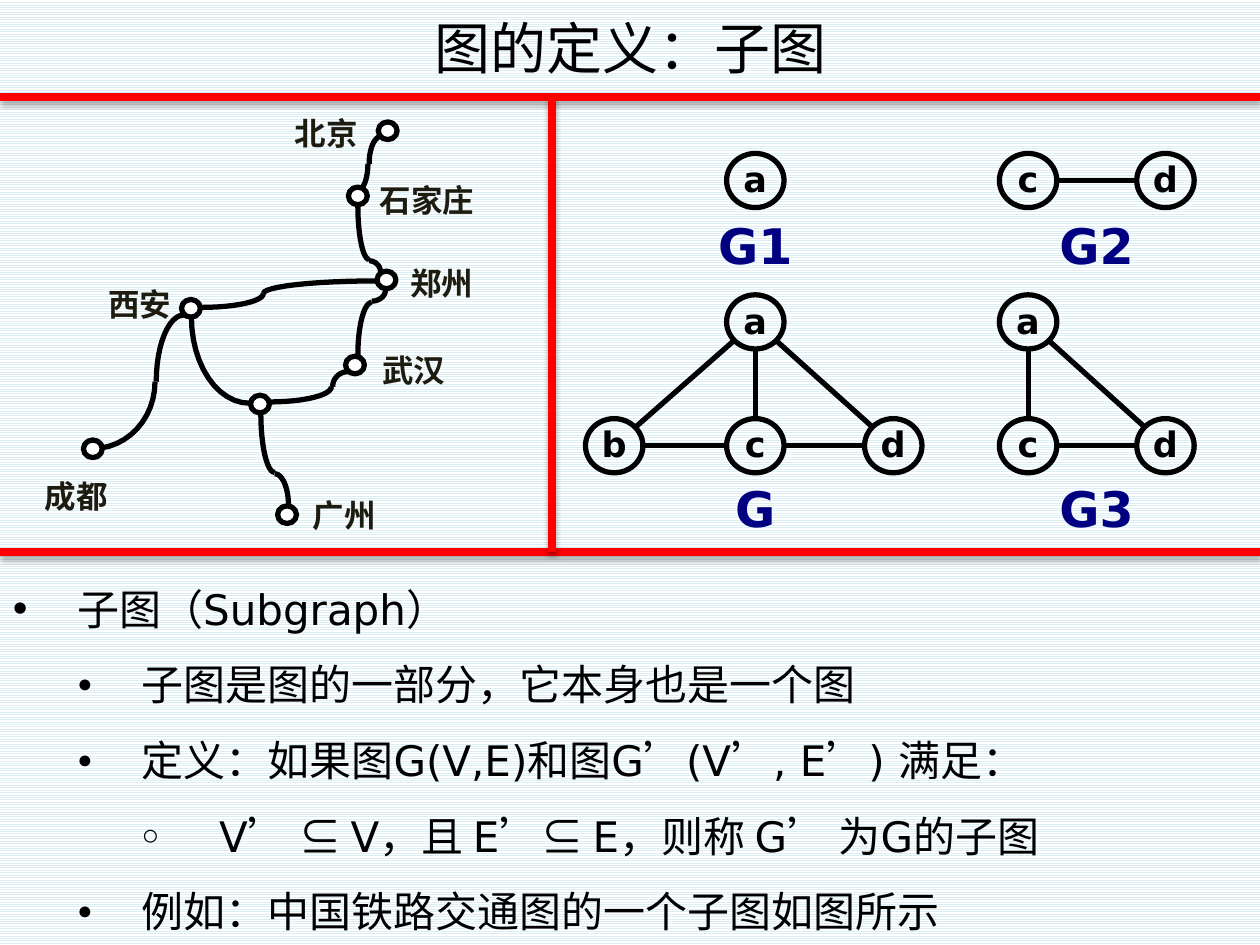
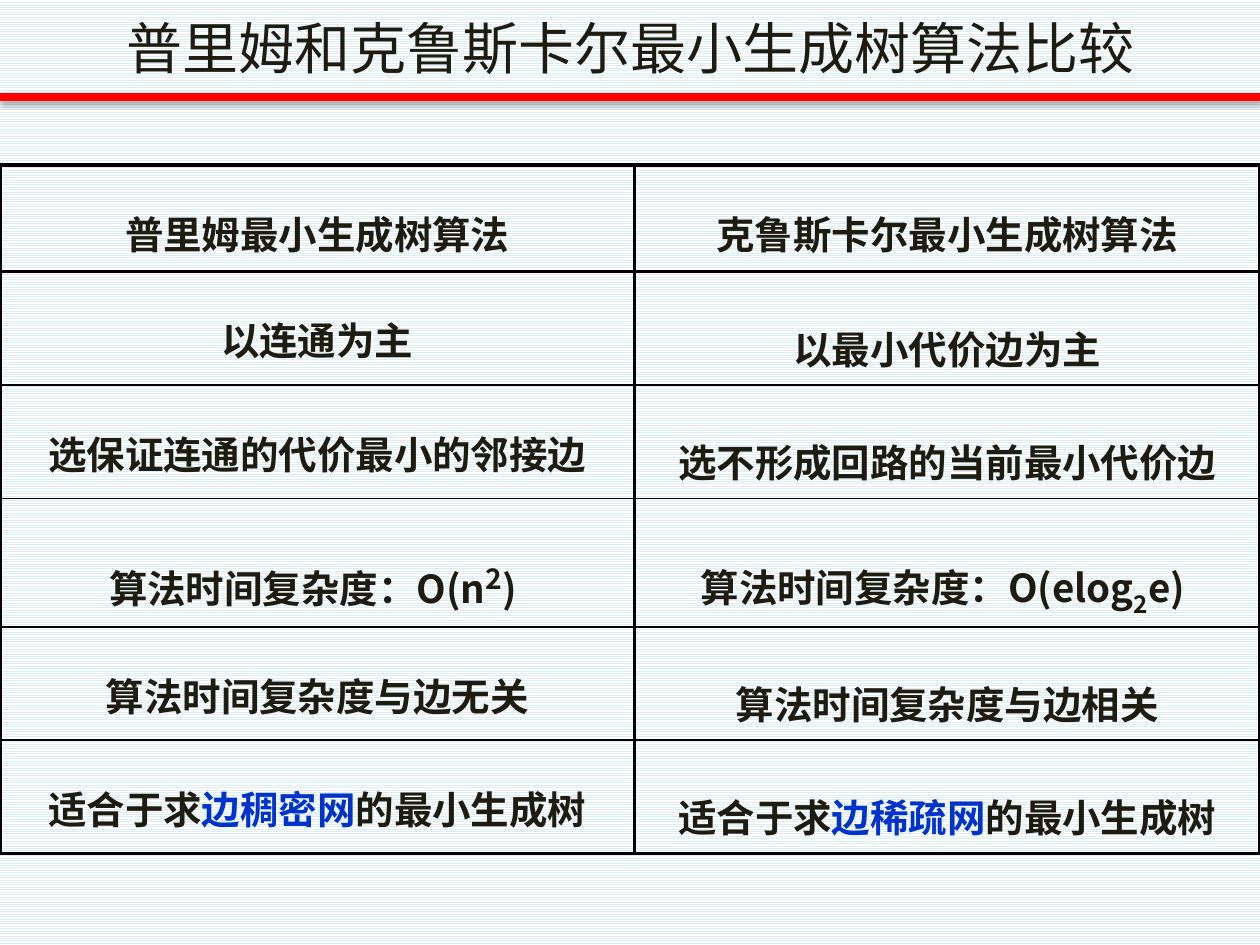
import math

from lxml import etree
from pptx import Presentation
from pptx import util as u
from pptx.dml.color import RGBColor
from pptx.enum import dml, shapes, text
from pptx.oxml.ns import qn

BLACK = RGBColor(0x00, 0x00, 0x00)
WHITE = RGBColor(0xFF, 0xFF, 0xFF)
PALE_BLUE = RGBColor(0xDB, 0xEE, 0xF4)
RED = RGBColor(0xFF, 0x00, 0x00)
INK = RGBColor(0x1E, 0x1C, 0x11)
NAVY = RGBColor(0x00, 0x00, 0x80)
BLUE = RGBColor(0x00, 0x33, 0xCC)

LATIN, CHINESE, BULLET_FONT = "DejaVu Sans", "Noto Sans CJK SC", "Arial"

# The slide is a grid of square cells, 100 columns by 75 rows.
COLUMNS, ROWS = 100, 75
TITLE_RULE, DIAGRAM_END, DIVIDER = 7.7, 43.8, 43.8

# Railway map: station centre, then the left, top and width of its label.
STATIONS = [
    ((30.77, 10.38), "北京", (21.55, 8.6, 8.7)),
    ((28.4, 15.55), "石家庄", (29.0, 13.9, 9.8)),
    ((30.67, 22.22), "郑州", (29.7, 20.5, 10.7)),
    ((28.17, 28.97), "武汉", (27.95, 27.4, 9.8)),
    ((15.15, 24.47), "西安", (6.2, 22.1, 9.8)),
    ((7.37, 35.62), "成都", (1.15, 37.4, 9.8)),
    ((22.78, 40.85), "广州", (22.4, 38.9, 9.8)),
    ((20.63, 32.07), None, None),
]
# Each bend leaves its first point vertically and meets its second horizontally.
RAIL_BENDS = [
    ((29.2, 13.0), (28.4, 15.1)), ((29.3, 13.0), (30.3, 10.8)),
    ((28.4, 16.3), (29.3, 20.6)), ((30.2, 21.6), (29.3, 20.7)),
    ((28.4, 28.2), (29.5, 24.0)), ((30.6, 23.0), (29.5, 23.9)),
    ((20.9, 23.3), (16.0, 24.4)), ((20.9, 23.3), (29.9, 22.3)),
    ((26.3, 30.7), (21.4, 31.9)), ((26.4, 30.7), (27.6, 29.5)),
    ((15.2, 25.2), (19.8, 32.0)), ((12.3, 30.3), (7.4, 35.6)),
    ((12.4, 30.3), (14.6, 25.0)), ((20.7, 32.8), (21.8, 37.5)),
    ((22.9, 40.1), (21.8, 37.6)),
]

# Graphs: name, centre and top of the name, vertices, edges.
UPPER, APEX, BASE = 14.33, 25.55, 35.38
UPPER_NAME, LOWER_NAME = 17.1, 38.0
LEFT, MIDDLE, RIGHT = 48.75, 59.95, 70.9
PAIR_LEFT, PAIR_NAME, PAIR_RIGHT = 81.6, 87.03, 92.5
GRAPHS = [
    ("G1", MIDDLE, UPPER_NAME, {"a": (MIDDLE, UPPER)}, []),
    ("G2", PAIR_NAME, UPPER_NAME,
     {"c": (PAIR_LEFT, UPPER), "d": (PAIR_RIGHT, UPPER)}, ["cd"]),
    ("G", MIDDLE, LOWER_NAME,
     {"a": (MIDDLE, APEX), "b": (LEFT, BASE), "c": (MIDDLE, BASE), "d": (RIGHT, BASE)},
     ["ab", "ac", "ad", "bc", "cd"]),
    ("G3", PAIR_NAME, LOWER_NAME,
     {"a": (PAIR_LEFT, APEX), "c": (PAIR_LEFT, BASE), "d": (PAIR_RIGHT, BASE)},
     ["ac", "ad", "cd"]),
]
NODE_RX, NODE_RY = 2.28, 2.15

# Outline: indent step, bullet, bullet size in percent, wording.
OUTLINE = [
    (1, "•", 100, "子图（Subgraph）"),
    (2, "●", 60, "子图是图的一部分，它本身也是一个图"),
    (2, "●", 60, "定义：如果图G(V,E)和图G’(V’, E’) 满足："),
    (3, "○", 70, " V’ ⊆ V，且 E’⊆ E，则称 G’ 为G的子图"),
    (2, "●", 60, "例如：中国铁路交通图的一个子图如图所示"),
]

# Comparison: each cell is a list of (wording, format) pieces.
COMPARISON = [
    ([("普里姆最小生成树算法", {})], [("克鲁斯卡尔最小生成树算法", {})]),
    ([("以连通为主", {})], [("以最小代价边为主", {})]),
    ([("选保证连通的代价最小的邻接边", {})], [("选不形成回路的当前最小代价边", {})]),
    ([("算法时间复杂度：O(n", {}), ("2", {"size": 28, "baseline": 30}), (") ", {})],
     [("算法时间复杂度：Ο(elog", {}), ("2", {"size": 24, "baseline": -25}), ("e) ", {})]),
    ([("算法时间复杂度与边无关", {})], [("算法时间复杂度与边相关", {})]),
    ([("适合于求", {}), ("边稠密网", {"color": BLUE}), ("的最小生成树", {})],
     [("适合于求", {}), ("边稀疏网", {"color": BLUE}), ("的最小生成树", {})]),
]
TABLE_COLUMNS = (50.35, 49.65)
TABLE_ROWS = (8.45, 9, 9, 9, 9, 9)


def grid(*cells):
    """Turn numbers of grid cells into lengths."""
    return [u.Inches(cell / 10) for cell in cells]


def add_element(parent, tag, **attributes):
    return etree.SubElement(parent, qn(tag), {k: str(v) for k, v in attributes.items()})


def add_span(para, content, size=18, color=BLACK, bold=False, font=CHINESE, baseline=0):
    span = para.add_run()
    span.text = content
    span.font.size = u.Pt(size)
    span.font.bold = bold
    span.font.color.rgb = color
    span.font.name = font
    properties = span._r.get_or_add_rPr()
    add_element(properties, "a:ea", typeface=CHINESE)
    if baseline:
        properties.set("baseline", str(baseline * 1000))


def centre_text(frame, content, **style):
    para = frame.paragraphs[0]
    para.alignment = text.PP_ALIGN.CENTER
    add_span(para, content, **style)


def clear_margins(frame):
    frame.margin_left = frame.margin_right = frame.margin_top = frame.margin_bottom = 0
    frame.word_wrap = False


def add_label(page, content, left, top, width, height, tight=False, **style):
    box = page.shapes.add_textbox(*grid(left, top, width, height))
    box.text_frame.word_wrap = True
    if tight:
        clear_margins(box.text_frame)
    centre_text(box.text_frame, content, **style)


def add_line(page, start, end, color=BLACK, width=3.0):
    line = page.shapes.add_connector(shapes.MSO_CONNECTOR.STRAIGHT, *grid(*start, *end))
    line.line.color.rgb = color
    line.line.width = u.Pt(width)
    return add_element(line._element.spPr, "a:effectLst")


def add_red_rule(page, start, end):
    effects = add_line(page, start, end, RED, 4.5)
    shadow = add_element(effects, "a:outerShdw", blurRad=40000, dist=23000,
                         dir=5400000, rotWithShape=0)
    shade = add_element(shadow, "a:srgbClr", val=BLACK)
    add_element(shade, "a:alpha", val=35000)


def add_circle(page, centre, rx, ry, fill=None):
    x, y = centre
    circle = page.shapes.add_shape(shapes.MSO_SHAPE.OVAL,
                                   *grid(x - rx, y - ry, 2 * rx, 2 * ry))
    circle.shadow.inherit = False
    if fill is None:
        circle.fill.background()
    else:
        circle.fill.solid()
        circle.fill.fore_color.rgb = fill
    circle.line.color.rgb = BLACK
    circle.line.width = u.Pt(3)
    return circle


def add_bend(page, upright, level, steps=12):
    """Draw a quarter ellipse, vertical at one end and horizontal at the other."""
    (x0, y0), (x1, y1) = upright, level
    angles = [math.pi / 2 * step / steps for step in range(steps + 1)]
    points = [grid(x1 + (x0 - x1) * math.cos(a), y0 + (y1 - y0) * math.sin(a))
              for a in angles]
    builder = page.shapes.build_freeform(*points[0])
    builder.add_line_segments(points[1:], close=False)
    bend = builder.convert_to_shape()
    bend.shadow.inherit = False
    bend.fill.background()
    bend.line.color.rgb = BLACK
    bend.line.width = u.Pt(3)


def add_edge(page, start, end):
    """Join two vertices from rim to rim."""
    dx, dy = end[0] - start[0], end[1] - start[1]
    share = 1 / math.hypot(dx / NODE_RX, dy / NODE_RY)
    add_line(page, (start[0] + dx * share, start[1] + dy * share),
             (end[0] - dx * share, end[1] - dy * share))


def add_graph(page, name, middle, name_top, vertices, edges):
    for start, end in edges:
        add_edge(page, vertices[start], vertices[end])
    for letter, centre in vertices.items():
        frame = add_circle(page, centre, NODE_RX, NODE_RY).text_frame
        clear_margins(frame)
        frame.vertical_anchor = text.MSO_ANCHOR.BOTTOM
        centre_text(frame, letter, size=20, bold=True, font=LATIN)
    add_label(page, name, middle - 5, name_top, 10, 4.4, tight=True,
              size=28, color=NAVY, bold=True, font=LATIN)


def add_railway_map(page):
    for upright, level in RAIL_BENDS:
        add_bend(page, upright, level)
    for centre, city, label in STATIONS:
        add_circle(page, centre, 0.75, 0.7, WHITE)
        if city:
            add_label(page, city, *label, 4, size=18, color=INK, bold=True)


def add_outline(page):
    box = page.shapes.add_textbox(*grid(0.05, DIAGRAM_END, COLUMNS, ROWS - DIAGRAM_END))
    frame = box.text_frame
    frame.word_wrap = True
    step = u.Inches(0.51)
    for number, (level, bullet, percent, content) in enumerate(OUTLINE):
        para = frame.add_paragraph() if number else frame.paragraphs[0]
        properties = para._p.get_or_add_pPr()
        properties.set("marL", str(step * level))
        properties.set("indent", str(-step))
        para.line_spacing = 1.5
        color = add_element(properties, "a:buClr")
        add_element(color, "a:srgbClr", val=BLACK)
        add_element(properties, "a:buSzPct", val=percent * 1000)
        add_element(properties, "a:buFont", typeface=BULLET_FONT)
        add_element(properties, "a:buChar", char=bullet)
        add_span(para, content, size=24, font=LATIN)


def set_borders(cell, **widths):
    properties = cell._tc.get_or_add_tcPr()
    for position, (side, width) in enumerate(widths.items()):
        border = etree.Element(qn("a:ln" + side), w=str(u.Pt(width)))
        fill = add_element(border, "a:solidFill")
        add_element(fill, "a:srgbClr", val=BLACK)
        properties.insert(position, border)


def add_comparison(page):
    frame = page.shapes.add_table(len(TABLE_ROWS), len(TABLE_COLUMNS),
                                  *grid(0, 13.1, COLUMNS, sum(TABLE_ROWS)))
    table = frame.table
    table.first_row = table.horz_banding = False
    for column, width in zip(table.columns, grid(*TABLE_COLUMNS)):
        column.width = width
    for row, height in zip(table.rows, grid(*TABLE_ROWS)):
        row.height = height
    last = len(COMPARISON) - 1
    for r, pair in enumerate(COMPARISON):
        for c, pieces in enumerate(pair):
            cell = table.cell(r, c)
            cell.fill.background()
            set_borders(cell, L=2.25, R=2.25, T=2.25 if r < 2 else 1,
                        B=2.25 if r in (0, last) else 1)
            para = cell.text_frame.paragraphs[0]
            para.alignment = text.PP_ALIGN.CENTER
            para.line_spacing = 1.75 if r and c else 1.6
            for content, style in pieces:
                add_span(para, content, **{"size": 22, "color": INK, "bold": True, **style})


def add_page(deck, title, color):
    page = deck.slides.add_slide(deck.slide_layouts[5])
    box = page.shapes.title
    box.left, box.top, box.width, box.height = grid(0, 0.5, COLUMNS + 0.1, 6.5)
    box.text_frame.auto_size = text.MSO_AUTO_SIZE.NONE
    box.text_frame.vertical_anchor = text.MSO_ANCHOR.MIDDLE
    centre_text(box.text_frame, title, size=32, color=color)
    add_red_rule(page, (0, TITLE_RULE), (COLUMNS, TITLE_RULE))
    return page


def set_striped_background(deck):
    fill = deck.slide_master.background.fill
    fill.patterned()
    fill.pattern = dml.MSO_PATTERN.LIGHT_HORIZONTAL
    fill.fore_color.rgb = PALE_BLUE
    fill.back_color.rgb = WHITE


def main():
    deck = Presentation()
    deck.slide_width, deck.slide_height = grid(COLUMNS, ROWS)
    set_striped_background(deck)

    page = add_page(deck, "图的定义：子图", BLACK)
    add_outline(page)
    add_railway_map(page)
    add_red_rule(page, (0, DIAGRAM_END), (COLUMNS, DIAGRAM_END))
    add_red_rule(page, (DIVIDER, TITLE_RULE), (DIVIDER, DIAGRAM_END))
    for graph in GRAPHS:
        add_graph(page, *graph)

    page = add_page(deck, "普里姆和克鲁斯卡尔最小生成树算法比较", INK)
    add_comparison(page)
    deck.save("out.pptx")


if __name__ == "__main__":
    main()
